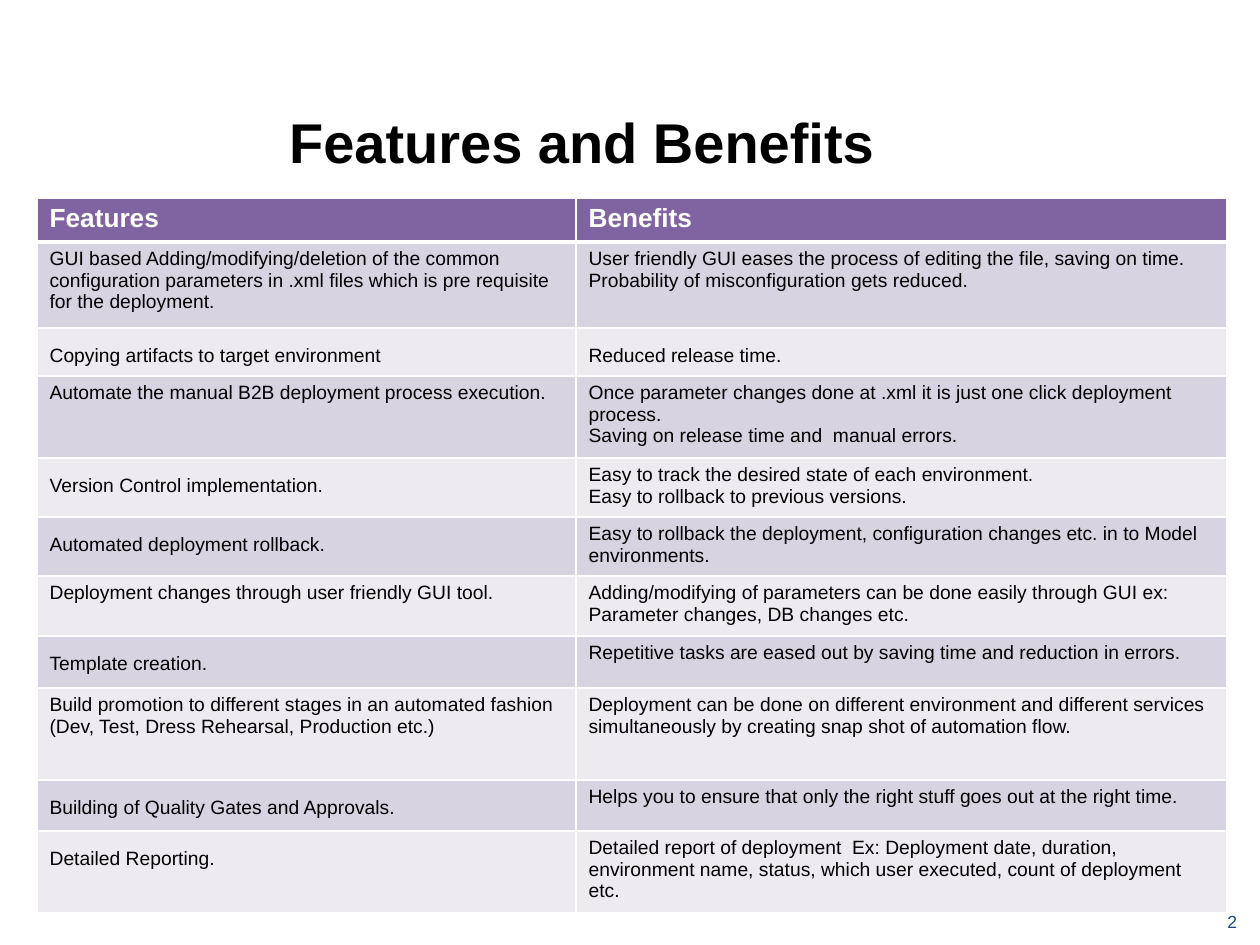
"""Build the Features and Benefits slide."""
from dataclasses import dataclass

from lxml.etree import SubElement
from pptx import Presentation
from pptx.dml.color import RGBColor
from pptx.enum.text import MSO_ANCHOR, PP_ALIGN
from pptx.oxml.ns import qn
from pptx.util import Emu, Pt

BLACK = RGBColor(0x00, 0x00, 0x00)
WHITE = RGBColor(0xFF, 0xFF, 0xFF)
NAVY = RGBColor(0x1F, 0x49, 0x7D)
PURPLE = RGBColor(0x80, 0x64, 0xA2)
BANDS = (RGBColor(0xD8, 0xD3, 0xE0), RGBColor(0xED, 0xEA, 0xF0))
FONT = "Arial"
COLS = (539, 651)


@dataclass(frozen=True)
class Style:
    size: int
    color: RGBColor
    bold: bool = False


@dataclass(frozen=True)
class Row:
    height: int
    feature: str
    benefits: tuple[str, ...]
    loose: tuple[bool, bool] = (False, False)


@dataclass(frozen=True)
class Label:
    box: tuple[int, int, int, int]
    text: str
    style: Style
    align: PP_ALIGN
    anchor: MSO_ANCHOR
    inset: tuple[int, int]
    wrap: bool


HEAD = Style(15, WHITE, True)
BODY = Style(11, BLACK)

LABELS = (
    Label((120, 97, 924, 57), "Features and Benefits", Style(32, BLACK, True),
          PP_ALIGN.CENTER, MSO_ANCHOR.TOP, (13, 11), True),
    Label((1216, 911, 21, 21), "2", Style(10, NAVY),
          PP_ALIGN.RIGHT, MSO_ANCHOR.MIDDLE, (0, 0), False),
)

ROWS = (
    Row(43, "Features", ("Benefits",)),
    Row(86, "GUI based Adding/modifying/deletion of the common configuration "
        "parameters in .xml files which is pre requisite for the deployment.",
        ("User friendly GUI eases the process of editing the file, saving on time.",
         "Probability of misconfiguration gets reduced.")),
    Row(48, "Copying artifacts to target environment",
        ("Reduced release time.",), (True, True)),
    Row(81, "Automate the manual B2B deployment process execution.",
        ("Once parameter changes done at .xml it is just one click deployment process.",
         "Saving on release time and  manual errors.")),
    Row(59, "Version Control implementation.",
        ("Easy to track the desired state of each environment.",
         "Easy to rollback to previous versions."), (True, False)),
    Row(59, "Automated deployment rollback.",
        ("Easy to rollback the deployment, configuration changes etc. "
         "in to Model environments.",), (True, False)),
    Row(60, "Deployment changes through user friendly GUI tool.",
        ("Adding/modifying of parameters can be done easily through GUI ex: "
         "Parameter changes, DB changes etc.",)),
    Row(52, "Template creation.",
        ("Repetitive tasks are eased out by saving time and reduction in errors.",),
        (True, False)),
    Row(92, "Build promotion to different stages in an automated fashion "
        "(Dev, Test, Dress Rehearsal, Production etc.)",
        ("Deployment can be done on different environment and different services "
         "simultaneously by creating snap shot of automation flow.",)),
    Row(51, "Building of Quality Gates and Approvals.",
        ("Helps you to ensure that only the right stuff goes out at the right time.",),
        (True, False)),
    Row(81, "Detailed Reporting.",
        ("Detailed report of deployment  Ex: Deployment date, duration, environment "
         "name, status, which user executed, count of deployment etc.",), (True, False)),
)


def px(n: int) -> Emu:
    """Turn pixels into EMU."""
    return Emu(round(n * 914400 / 126))


def write(frame, lines: tuple[str, ...], style: Style,
          align: PP_ALIGN = PP_ALIGN.LEFT, loose: bool = False) -> None:
    """Write one paragraph for each line."""
    for i, line in enumerate(lines):
        para = frame.add_paragraph() if i else frame.paragraphs[0]
        para.alignment = align
        if loose:
            para.line_spacing = 1.5
        run = para.add_run()
        run.text = line
        font = run.font
        font.name, font.size, font.bold = FONT, Pt(style.size), style.bold
        font.color.rgb = style.color


def draw_label(slide, label: Label) -> None:
    """Draw a text box."""
    frame = slide.shapes.add_textbox(*map(px, label.box)).text_frame
    frame.word_wrap = label.wrap
    frame.vertical_anchor = label.anchor
    side, top = map(px, label.inset)
    frame.margin_left = frame.margin_right = side
    frame.margin_top = frame.margin_bottom = top
    write(frame, (label.text,), label.style, label.align)


def edge(cell, side: str, width: int) -> None:
    """Draw one white border of a cell."""
    props = cell._tc.get_or_add_tcPr()
    line = SubElement(props, qn(f"a:{side}"), w=str(Pt(width)))
    fill = SubElement(line, qn("a:solidFill"))
    SubElement(fill, qn("a:srgbClr"), val=str(WHITE))


def draw_table(slide) -> None:
    """Draw the table of features and benefits."""
    height = sum(row.height for row in ROWS)
    table = slide.shapes.add_table(len(ROWS), len(COLS), px(37), px(198),
                                   px(sum(COLS)), px(height)).table
    for col, width in zip(table.columns, COLS):
        col.width = px(width)
    for r, row in enumerate(ROWS):
        table.rows[r].height = px(row.height)
        for c, lines in enumerate(((row.feature,), row.benefits)):
            cell = table.cell(r, c)
            for side in ("lnL", "lnR", "lnT", "lnB"):
                thick = (r, side) in ((0, "lnB"), (1, "lnT"))
                edge(cell, side, 3 if thick else 1)
            cell.fill.solid()
            cell.fill.fore_color.rgb = BANDS[(r - 1) % 2] if r else PURPLE
            write(cell.text_frame, lines, BODY if r else HEAD, loose=row.loose[c])


def main() -> None:
    """Build and save the slide."""
    deck = Presentation()
    deck.slide_width, deck.slide_height = px(1260), px(945)
    slide = deck.slides.add_slide(deck.slide_layouts[6])
    for label in LABELS:
        draw_label(slide, label)
    draw_table(slide)
    deck.save("out.pptx")


if __name__ == "__main__":
    main()
